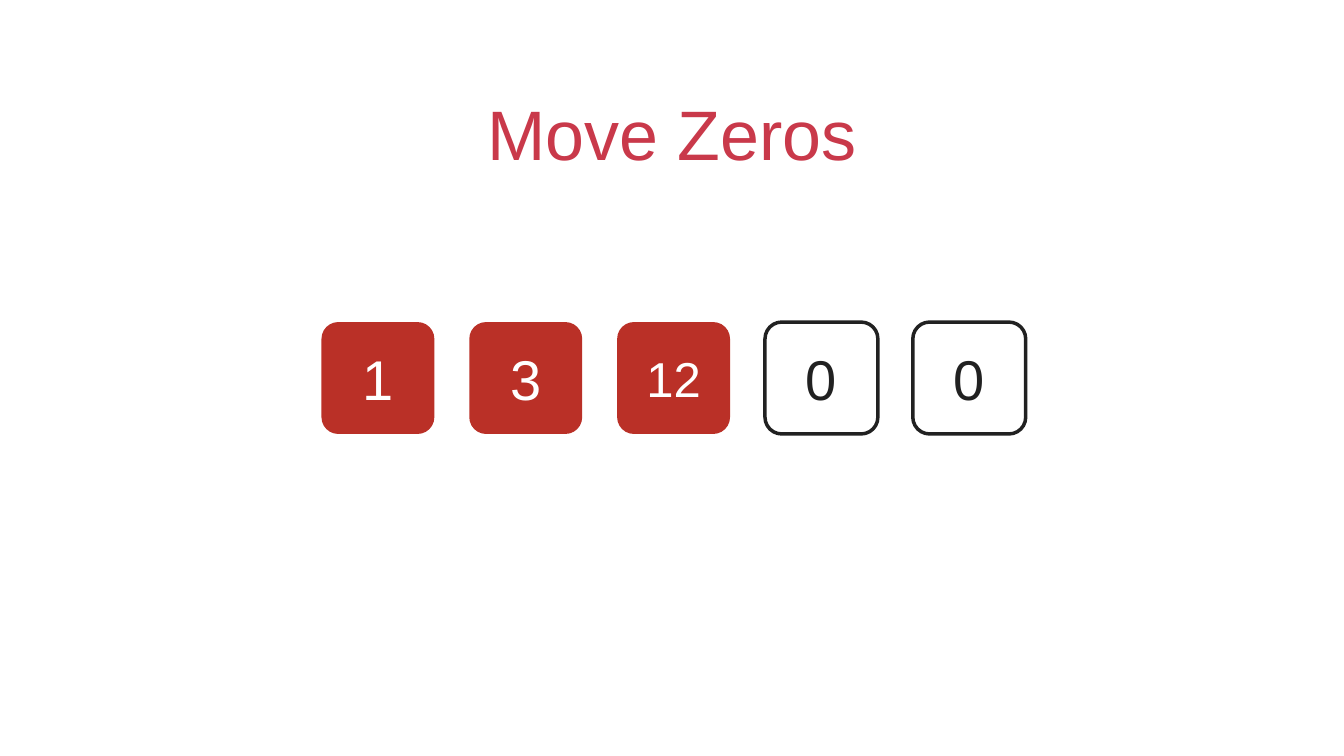
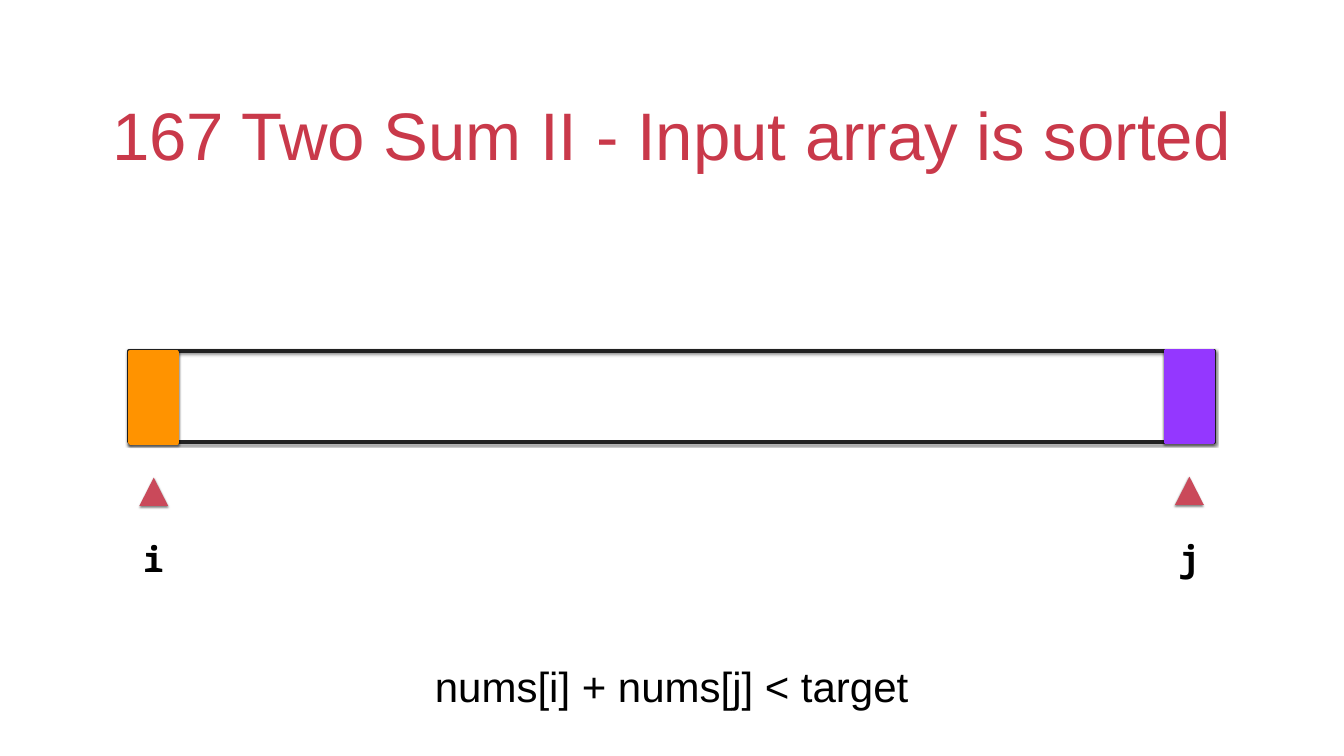
from lxml import etree
from pptx import Presentation
from pptx.dml.color import RGBColor as Rgb
from pptx.enum.shapes import MSO_SHAPE as Kind
from pptx.enum.text import MSO_ANCHOR as Anchor, MSO_AUTO_SIZE as Fit, PP_ALIGN as Align
from pptx.oxml.ns import qn
from pptx.util import Inches, Pt

HUES = {
    "title": "C9394A",
    "red": "BA3027",
    "ink": "212121",
    "white": "FFFFFF",
    "black": "000000",
    "orange": "FF9300",
    "purple": "9437FF",
    "mark": "CA495A",
}


class Deck:
    sans = "Arial"
    mono = "Noto Sans Mono"
    inset = Inches(0.06)
    stroke = Pt(5)

    def __init__(self):
        self.prs = Presentation()
        self.prs.slide_width = Inches(26.67)
        self.prs.slide_height = Inches(15)
        self.slide = None

    def hue(self, name):
        return Rgb.from_string(HUES[name])

    def box(self, x, y, w, h):
        wide, high = self.prs.slide_width, self.prs.slide_height
        return [round(part * size / 100) for part, size in ((x, wide), (y, high), (w, wide), (h, high))]

    def words(self, shape, text, size, hue, font=sans, bold=False, anchor=Anchor.MIDDLE,
              wrap=True, fit=Fit.NONE, space=None):
        frame = shape.text_frame
        frame.text = text
        frame.word_wrap = wrap
        frame.auto_size = fit
        frame.vertical_anchor = anchor
        frame.margin_left = frame.margin_right = self.inset
        frame.margin_top = frame.margin_bottom = self.inset
        para = frame.paragraphs[0]
        para.alignment = Align.CENTER
        if space:
            para.line_spacing = space
        face = para.runs[0].font
        face.name, face.size, face.bold = font, Pt(size), bold
        face.color.rgb = self.hue(hue)

    def page(self, title, size):
        self.slide = self.prs.slides.add_slide(self.prs.slide_layouts[5])
        head = self.slide.shapes.title
        head.left, head.top, head.width, head.height = self.box(7.27, 8.67, 85.42, 14.8)
        self.words(head, title, size, "title", anchor=Anchor.BOTTOM)

    def shape(self, kind, area, fill=None, line=None, shade=False):
        item = self.slide.shapes.add_shape(kind, *self.box(*area))
        item.shadow.inherit = False
        if fill:
            item.fill.solid()
            item.fill.fore_color.rgb = self.hue(fill)
        else:
            item.fill.background()
        if line:
            item.line.color.rgb = self.hue(line)
            item.line.width = self.stroke
        else:
            item.line.fill.background()
        if shade:
            self.shade(item)
        return item

    def shade(self, item):
        glow = item.element.spPr.find(qn("a:effectLst"))
        cast = etree.SubElement(glow, qn("a:outerShdw"), blurRad=str(Pt(3)), dist=str(Pt(2)),
                                dir="5400000", rotWithShape="0")
        tint = etree.SubElement(cast, qn("a:srgbClr"), val=HUES["black"])
        etree.SubElement(tint, qn("a:alpha"), val="50000")

    def cell(self, area, text, size, full):
        fill, line, ink = ("red", None, "white") if full else (None, "ink", "ink")
        item = self.shape(Kind.ROUNDED_RECTANGLE, area, fill, line)
        item.adjustments[0] = 0.15
        self.words(item, text, size, ink)

    def label(self, area, text, size, **style):
        item = self.slide.shapes.add_textbox(*self.box(*area))
        self.words(item, text, size, "black", fit=Fit.SHAPE_TO_FIT_TEXT, **style)

    def end(self, x, y, name, hue):
        self.shape(Kind.RECTANGLE, (x, y, 3.52, 12.07), hue, hue, shade=True)
        self.shape(Kind.ISOSCELES_TRIANGLE, (x + 0.7, y + 16.65, 2.14, 3.73), "mark", shade=True)
        self.label((x + 0.75, y + 24.34, 2.02, 6.13), name, 50, font=self.mono, bold=True, wrap=False)


def zeros(deck):
    deck.page("Move Zeros", 100)
    for col, num in enumerate((1, 3, 12, 0, 0)):
        size = 70 if num > 9 else 80
        deck.cell((23.92 + 11 * col, 42.6, 8.4, 14.8), str(num), size, num != 0)


def sums(deck):
    deck.page("167 Two Sum II - Input array is sorted", 96)
    deck.shape(Kind.RECTANGLE, (9.6, 46.4, 80.76, 12.07), line="ink", shade=True)
    deck.end(9.67, 46.53, "i", "orange")
    deck.end(86.73, 46.4, "j", "purple")
    deck.label((29.25, 85.27, 41.47, 7.4), "nums[i] + nums[j] < target", 60, space=1.5)


def main():
    deck = Deck()
    zeros(deck)
    sums(deck)
    deck.prs.save("out.pptx")


if __name__ == "__main__":
    main()
